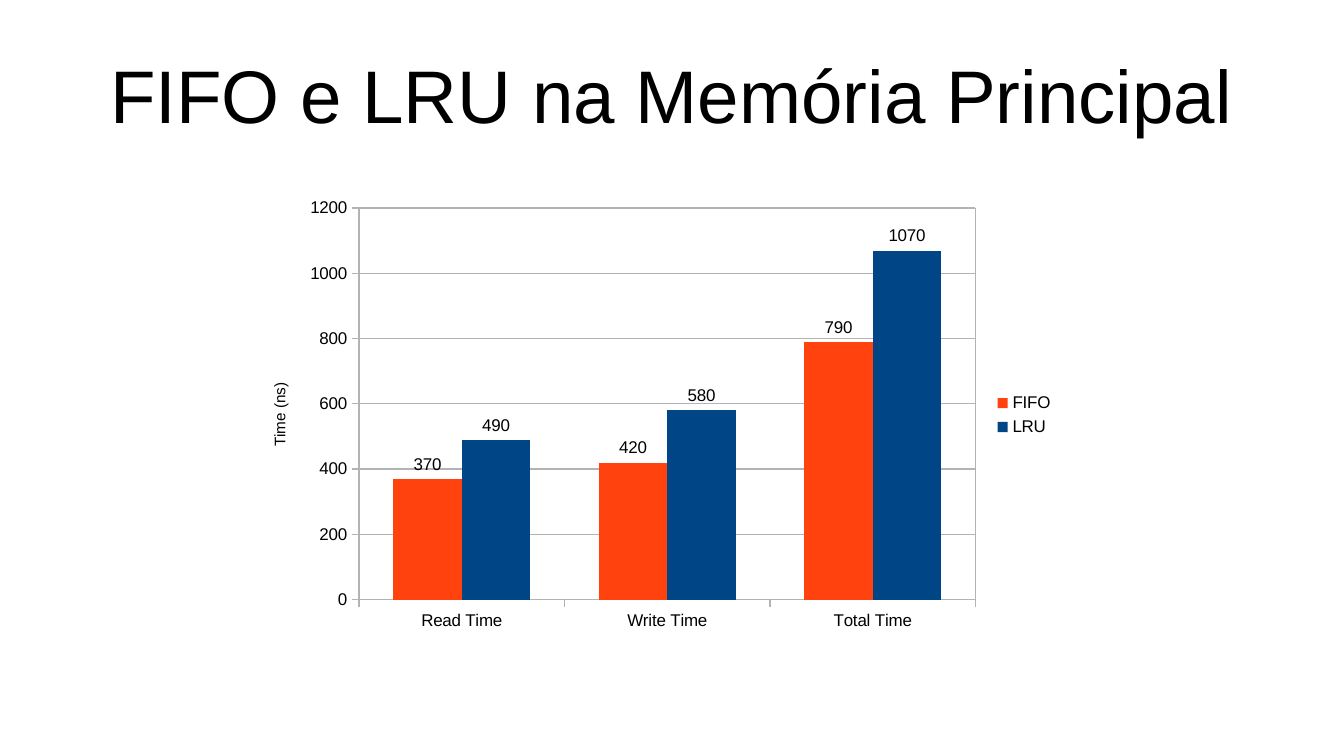
from lxml import etree
from pptx import Presentation
from pptx.chart.data import CategoryChartData
from pptx.dml.color import RGBColor
from pptx.enum import chart as ch, text
from pptx.oxml.ns import qn
from pptx.util import Inches, Pt

BLACK = RGBColor(0x00, 0x00, 0x00)
GRAY = RGBColor(0xB3, 0xB3, 0xB3)
ORANGE = RGBColor(0xFF, 0x42, 0x0E)
BLUE = RGBColor(0x00, 0x45, 0x86)


def set_font(font, size=10):
    font.name, font.size, font.bold = "Arial", Pt(size), False
    font.color.rgb = BLACK


def write(tf, words, size=10, align=text.PP_ALIGN.CENTER):
    p = tf.paragraphs[0]
    p.alignment = align
    r = p.add_run()
    r.text = words
    set_font(r.font, size)


prs = Presentation()
prs.slide_width, prs.slide_height = Inches(11.02), Inches(6.2)
s = prs.slides.add_slide(prs.slide_layouts[5])

# Title
title = s.shapes.title
title.left, title.top = Inches(0.55), Inches(0.08)
title.width, title.height = Inches(9.92), Inches(1.37)
tf = title.text_frame
tf.margin_left = tf.margin_right = tf.margin_top = tf.margin_bottom = 0
tf.vertical_anchor = text.MSO_ANCHOR.MIDDLE
write(tf, "FIFO e LRU na Memória Principal", size=44)

# Chart
data = CategoryChartData()
data.categories = ["Read Time", "Write Time", "Total Time"]
data.add_series("FIFO", [370, 420, 790])
data.add_series("LRU", [490, 580, 1070])
chart = s.shapes.add_chart(ch.XL_CHART_TYPE.COLUMN_CLUSTERED, Inches(2), Inches(1.56),
                           Inches(6.74), Inches(3.69), data).chart
set_font(chart.font)
chart.has_title = False
chart.has_legend = True
chart.legend.position = ch.XL_LEGEND_POSITION.RIGHT
chart.legend.include_in_layout = False
set_font(chart.legend.font)

# Columns
plot = chart.plots[0]
plot.gap_width, plot.overlap = 100, 0
plot.vary_by_categories = False
for series, color in zip(plot.series, (ORANGE, BLUE)):
    series.format.fill.solid()
    series.format.fill.fore_color.rgb = color
    labels = series.data_labels
    labels.show_value = True
    labels.position = ch.XL_LABEL_POSITION.OUTSIDE_END
    set_font(labels.font)

# Axes
value_axis = chart.value_axis
value_axis.minimum_scale, value_axis.maximum_scale = 0, 1200
value_axis.major_unit = 200
value_axis.has_major_gridlines = True
write(value_axis.axis_title.text_frame, "Time (ns)", size=9)
for axis in (chart.category_axis, value_axis):
    axis.major_tick_mark = ch.XL_TICK_MARK.OUTSIDE
    axis.minor_tick_mark = ch.XL_TICK_MARK.NONE
    set_font(axis.tick_labels.font)
for line in (chart.category_axis.format.line, value_axis.format.line,
             value_axis.major_gridlines.format.line):
    line.color.rgb = GRAY
    line.width = Pt(0)

# Plot area: fixed inner position and a thin frame
area = chart._chartSpace.find(".//" + qn("c:plotArea"))
for layout in area.findall(qn("c:layout")):
    area.remove(layout)
layout = etree.Element(qn("c:layout"))
manual = etree.SubElement(layout, qn("c:manualLayout"))
for tag, val in (("layoutTarget", "inner"), ("xMode", "edge"), ("yMode", "edge"),
                 ("x", "0.14"), ("y", "0.04"), ("w", "0.75"), ("h", "0.87")):
    etree.SubElement(manual, qn("c:" + tag)).set("val", val)
area.insert(0, layout)
frame = etree.SubElement(area, qn("c:spPr"))
etree.SubElement(frame, qn("a:noFill"))
ln = etree.SubElement(frame, qn("a:ln"), w="0")
fill = etree.SubElement(ln, qn("a:solidFill"))
etree.SubElement(fill, qn("a:srgbClr"), val=str(GRAY))

prs.save("out.pptx")
